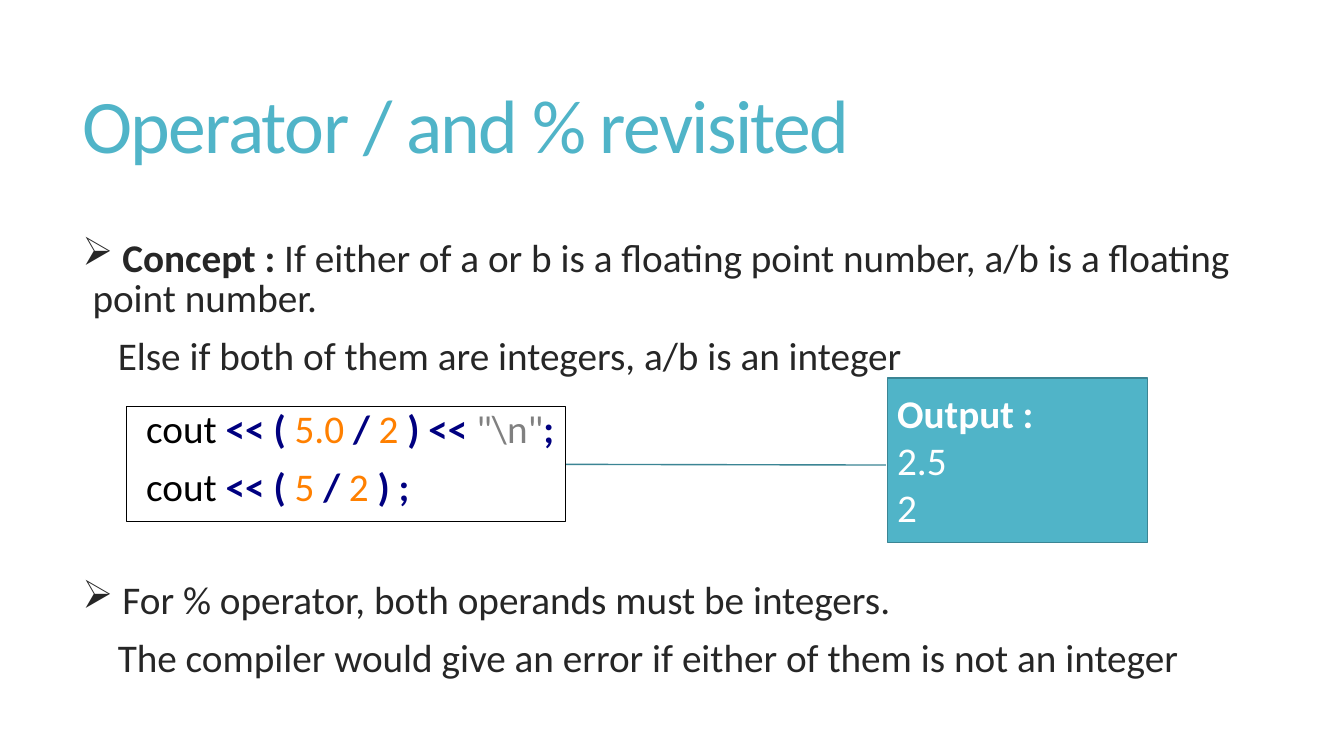
from lxml import etree
from pptx import Presentation
from pptx.dml.color import RGBColor
from pptx.enum.shapes import MSO_SHAPE
from pptx.enum.text import MSO_ANCHOR, PP_ALIGN
from pptx.oxml.ns import qn
from pptx.util import Inches, Pt

RECTANGLE = MSO_SHAPE.RECTANGLE
CALLOUT = MSO_SHAPE.LINE_CALLOUT_1
TOP, MIDDLE = MSO_ANCHOR.TOP, MSO_ANCHOR.MIDDLE
LEFT = PP_ALIGN.LEFT

FONT = "Calibri"
TEAL, TEAL_DARK, INK = "50B4C8", "3B8594", "262626"
BLACK, WHITE = "000000", "FFFFFF"
NAVY, ORANGE, GRAY = "000080", "FF8000", "808080"
BODY_SIZE, TITLE_SIZE = 28, 54
LINE_SPACING, PARAGRAPH_GAP = 0.85, 13
HANGING, CONTINUATION = Inches(0.1), Inches(0.35)
CALLOUT_POINTS = (0.53, -0.005, 0.526, -1.237)

presentation = Presentation()
presentation.slide_width = Inches(13.33)
presentation.slide_height = Inches(7.5)
slide = presentation.slides.add_slide(presentation.slide_layouts[6])


def color(hex_value):
    return RGBColor.from_string(hex_value)


def area(left, top, width, height):
    across = presentation.slide_width / 100
    down = presentation.slide_height / 100
    return [int(length) for length in (left * across, top * down, width * across, height * down)]


def prepare_frame(shape, anchor):
    frame = shape.text_frame
    frame.word_wrap = True
    frame.vertical_anchor = anchor
    return frame


def add_text_box(box, anchor):
    return prepare_frame(slide.shapes.add_textbox(*box), anchor)


def add_panel(kind, box, fill, line, line_width, anchor):
    shape = slide.shapes.add_shape(kind, *box)
    shape.shadow.inherit = False
    if fill:
        shape.fill.solid()
        shape.fill.fore_color.rgb = color(fill)
    else:
        shape.fill.background()
    shape.line.color.rgb = color(line)
    shape.line.width = Pt(line_width)
    return shape, prepare_frame(shape, anchor)


def add_run(paragraph, text, hex_value, bold=False, size=BODY_SIZE):
    run = paragraph.add_run()
    run.text = text
    run.font.name = FONT
    run.font.size = Pt(size)
    run.font.bold = bold
    run.font.color.rgb = color(hex_value)
    return run


def add_paragraphs(frame, rows, spacing=LINE_SPACING, gap=PARAGRAPH_GAP):
    for index, runs in enumerate(rows):
        paragraph = frame.add_paragraph() if index else frame.paragraphs[0]
        paragraph.alignment = LEFT
        paragraph.line_spacing = spacing
        paragraph.space_after = Pt(gap)
        for run in runs:
            add_run(paragraph, *run)
    return frame.paragraphs


def indent(paragraph, left, first_line=0, bullet=None):
    properties = paragraph._p.get_or_add_pPr()
    properties.set("marL", str(left))
    properties.set("indent", str(first_line))
    if bullet:
        etree.SubElement(properties, qn("a:buChar")).set("char", bullet)


def add_title(box, text):
    frame = add_text_box(box, MIDDLE)
    paragraph = frame.paragraphs[0]
    paragraph.line_spacing = LINE_SPACING
    run = add_run(paragraph, text, TEAL, size=TITLE_SIZE)
    run.font._element.set("spc", "-120")


def add_concept(box, bullet_runs, continuation):
    frame = add_text_box(box, TOP)
    rows = [bullet_runs, [(continuation, INK)]]
    first, second = add_paragraphs(frame, rows)
    indent(first, HANGING, -HANGING, "\u27a2")
    indent(second, CONTINUATION)


def add_code(box, rows):
    shape, frame = add_panel(RECTANGLE, box, None, BLACK, 0.75, TOP)
    frame.margin_left, frame.margin_right = Inches(0.2), 0
    add_paragraphs(frame, rows)


def add_output(box, heading, values):
    shape, frame = add_panel(CALLOUT, box, TEAL, TEAL_DARK, 1, MIDDLE)
    for index, point in enumerate(CALLOUT_POINTS):
        shape.adjustments[index] = point
    rows = [[(heading, WHITE, True)]] + [[(value, WHITE)] for value in values]
    add_paragraphs(frame, rows, spacing=1, gap=0)


add_title(area(5.4, 5.2, 88.4, 24.1), "Operator / and % revisited")
add_concept(
    area(5.4, 31.1, 88.4, 20),
    [
        (" ", INK),
        ("Concept :", INK, True),
        (" If either of a or b is a floating point number, a/b is a floating point number.", INK),
    ],
    "Else if both of them are integers, a/b is an integer",
)
add_concept(
    area(5.4, 76.4, 88.4, 15),
    [(" For % operator, both operands must be integers.", INK)],
    "The compiler would give an error if either of them is not an integer",
)
add_output(area(66.02, 50, 19.35, 21.73), "Output :", ["2.5", "2"])


def division(dividend):
    return [
        ("cout ", BLACK),
        ("<< ( ", NAVY, True),
        (dividend + " ", ORANGE),
        ("/ ", NAVY, True),
        ("2 ", ORANGE),
    ]


add_code(
    area(9.38, 53.73, 32.71, 15.2),
    [
        division("5.0") + [(") << ", NAVY, True), ('"\\n"', GRAY), (";", NAVY, True)],
        division("5") + [(") ;", NAVY, True)],
    ],
)

presentation.save("out.pptx")
